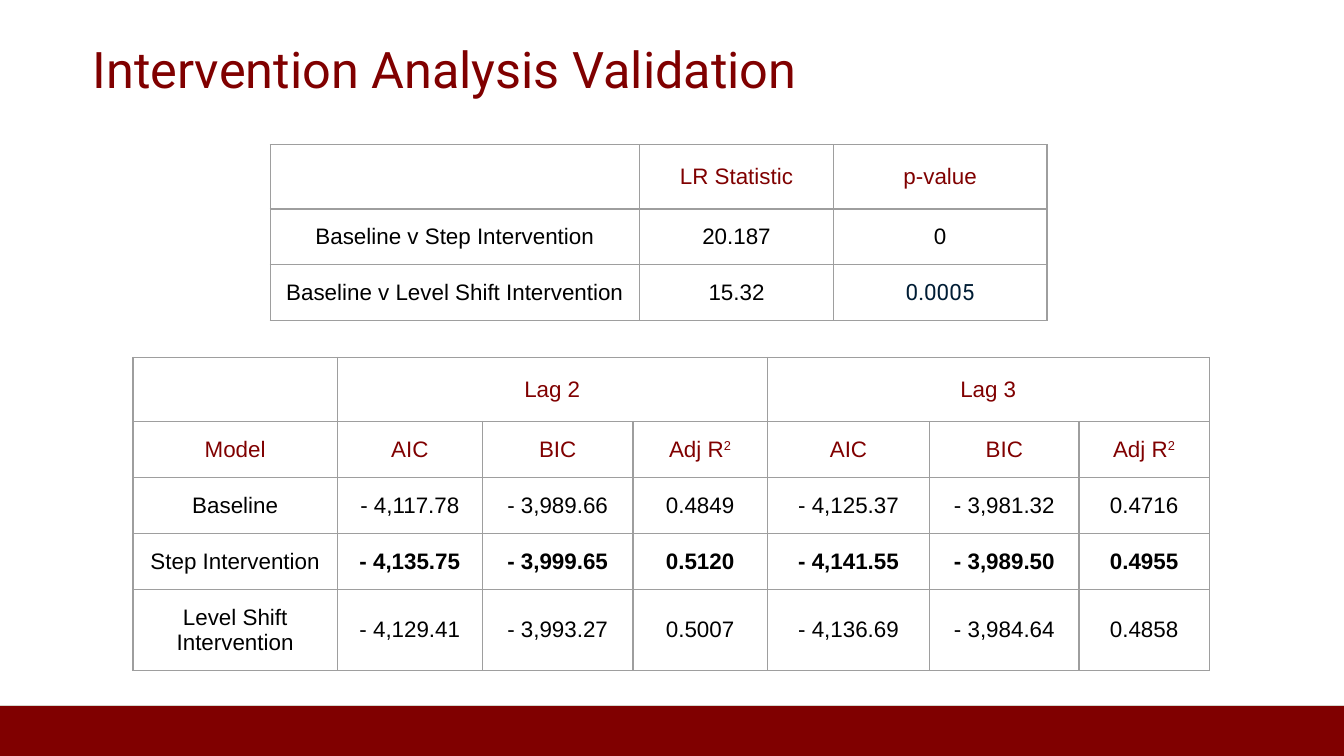
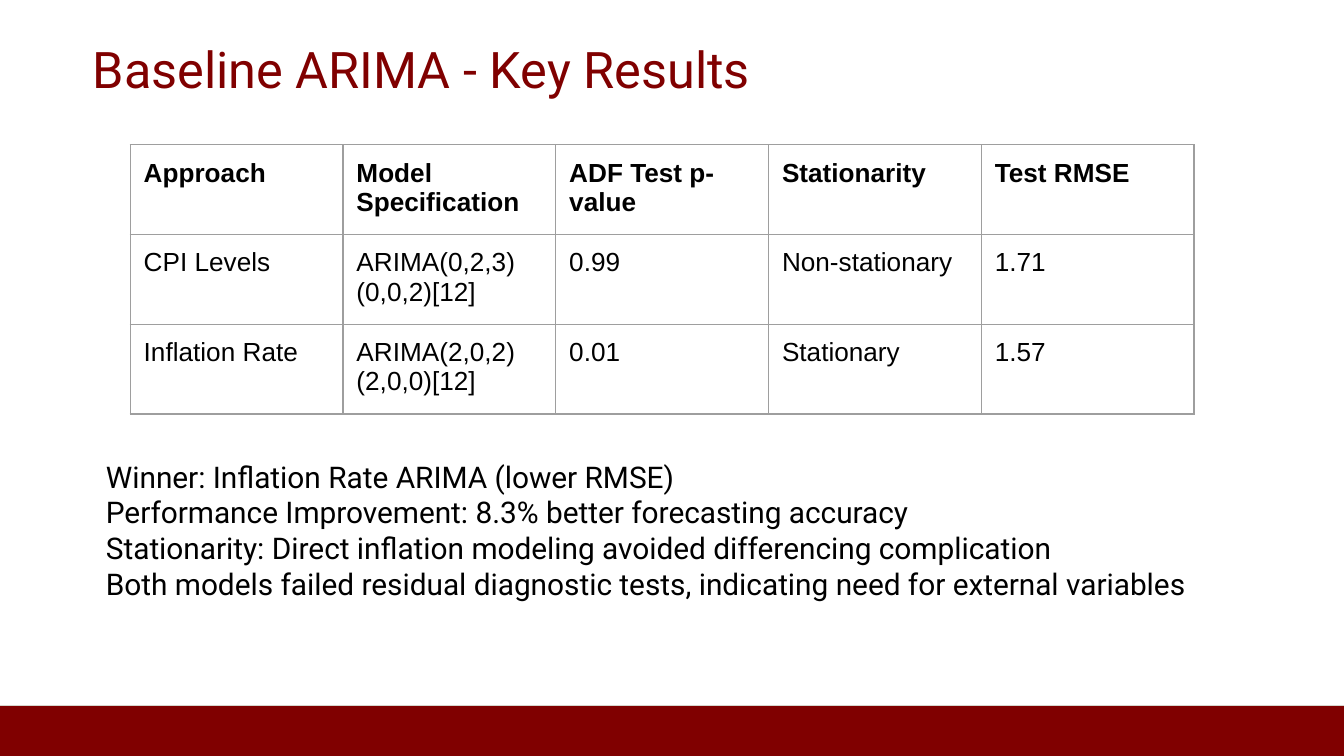
from lxml import etree
from pptx import Presentation
from pptx.dml.color import RGBColor
from pptx.enum.shapes import MSO_CONNECTOR, MSO_SHAPE
from pptx.enum.text import MSO_ANCHOR, PP_ALIGN
from pptx.oxml.ns import qn
from pptx.util import Pt

LINE, RECT = MSO_CONNECTOR.STRAIGHT, MSO_SHAPE.RECTANGLE
TOP, MIDDLE = MSO_ANCHOR.TOP, MSO_ANCHOR.MIDDLE
LEFT, CENTER = PP_ALIGN.LEFT, PP_ALIGN.CENTER

MAROON = RGBColor(0x80, 0x00, 0x00)
BLACK = RGBColor(0x00, 0x00, 0x00)
NAVY = RGBColor(0x00, 0x1D, 0x35)
RULE = RGBColor(0xD6, 0xD6, 0xCE)
GRID = "9E9E9E"

WIDTH, HEIGHT, BAND = 720, 405, 378
EDGE = 49.7
PAD = 7.2
SIDES = ("left", "right", "top", "bottom")


def write(para, text, **look):
    """Add a run; a trailing ² becomes a raised 2."""
    base, sup, _ = text.partition("²")
    for part in (base, "2" if sup else ""):
        if part:
            run = para.add_run()
            run.text = part
            color = look.get("color", BLACK)
            run.font.color.rgb = color
            for key in ("name", "size", "bold"):
                if key in look:
                    setattr(run.font, key, look[key])
    if sup:
        run.font._element.set("baseline", "30000")


def add_grid(slide, left, top, cols, highs, rows, size, heads, color, bold, align, anchor):
    """Add a ruled table whose first rows (heads) take the head colour."""
    frame = slide.shapes.add_table(len(rows), len(cols), Pt(left), Pt(top),
                                   Pt(sum(cols)), Pt(sum(highs)))
    table = frame.table
    table.first_row = table.horz_banding = False
    for col, wide in zip(table.columns, cols):
        col.width = Pt(wide)
    for row, high in zip(table.rows, highs):
        row.height = Pt(high)
    for r, texts in enumerate(rows):
        for c, text in enumerate(texts):
            cell = table.cell(r, c)
            cell.fill.background()
            cell.vertical_anchor = anchor
            for side in SIDES:
                setattr(cell, "margin_" + side, Pt(PAD))
            para = cell.text_frame.paragraphs[0]
            para.alignment = align
            if text:
                look = {"name": "Arial", "size": Pt(size), "bold": bold(r, c),
                        "color": color if r < heads else BLACK}
                if text == "0.0005":
                    look.update(name="Roboto", color=NAVY)
                write(para, text, **look)
            else:
                etree.SubElement(para._p, qn("a:endParaRPr"), sz=str(size * 100))
            # Cell borders come before the fill
            props = cell._tc.get_or_add_tcPr()
            for i, side in enumerate("LRTB"):
                line = etree.Element(qn("a:ln" + side), w=str(Pt(0.75)))
                fill = etree.SubElement(line, qn("a:solidFill"))
                etree.SubElement(fill, qn("a:srgbClr"), val=GRID)
                props.insert(i, line)
    return table


deck = Presentation()
deck.slide_width, deck.slide_height = Pt(WIDTH), Pt(HEIGHT)
blank = deck.slide_layouts[6]

# Shared title, footer band and rule
slides = []
for title in ("Intervention Analysis Validation", "Baseline ARIMA - Key Results"):
    slide = deck.slides.add_slide(blank)
    slides.append(slide)
    band = slide.shapes.add_shape(RECT, 0, Pt(BAND), Pt(WIDTH), Pt(HEIGHT - BAND))
    band.shadow.inherit = False
    band.fill.solid()
    band.fill.fore_color.rgb = MAROON
    band.line.fill.background()
    rule = slide.shapes.add_connector(LINE, 0, Pt(BAND), Pt(WIDTH), Pt(BAND))
    rule.line.color.rgb = RULE
    rule.line.width = Pt(0.75)
    etree.SubElement(rule._element.spPr, qn("a:effectLst"))
    box = slide.shapes.add_textbox(Pt(EDGE), 0, Pt(620.6), Pt(77.8)).text_frame
    box.word_wrap = True
    box.vertical_anchor = MIDDLE
    for side, pad in zip(SIDES, (0, 0, 3, 3)):
        setattr(box, "margin_" + side, Pt(pad))
    box.paragraphs[0].line_spacing = 0.9
    write(box.paragraphs[0], title, name="Roboto", size=Pt(27), color=MAROON)
check, result = slides

# Slide 1: model fit by lag
mid = {"size": 12, "color": MAROON, "align": CENTER, "anchor": MIDDLE}
fit = add_grid(
    check, 71.3, 191.5, [109.4, 77.8, 80.6, 72, 87.1, 79.9, 69.8],
    [34.3, 30, 30, 30, 41.3],
    [["", "Lag 2", "", "", "Lag 3", "", ""],
     ["Model"] + ["AIC", "BIC", "Adj R²"] * 2,
     ["Baseline", "- 4,117.78", "- 3,989.66", "0.4849",
      "- 4,125.37", "- 3,981.32", "0.4716"],
     ["Step Intervention", "- 4,135.75", "- 3,999.65", "0.5120",
      "- 4,141.55", "- 3,989.50", "0.4955"],
     ["Level Shift Intervention", "- 4,129.41", "- 3,993.27", "0.5007",
      "- 4,136.69", "- 3,984.64", "0.4858"]],
    heads=2, bold=lambda r, c: r == 3 and c > 0, **mid)
for c in (1, 4):
    fit.cell(0, c).merge(fit.cell(0, c + 2))

# Slide 1: likelihood ratio tests
add_grid(
    check, 144.7, 77.6, [198, 103.7, 114.5], [34.3, 30, 30],
    [["", "LR Statistic", "p-value"],
     ["Baseline v Step Intervention", "20.187", "0"],
     ["Baseline v Level Shift Intervention", "15.32", "0.0005"]],
    heads=1, bold=lambda r, c: False, **mid)

# Slide 2: results by approach
add_grid(
    result, 69.8, 77.6, [114] * 5, [45.8] * 3,
    [["Approach", "Model Specification", "ADF Test p-value", "Stationarity", "Test RMSE"],
     ["CPI Levels", "ARIMA(0,2,3)(0,0,2)[12]", "0.99", "Non-stationary", "1.71"],
     ["Inflation Rate", "ARIMA(2,0,2)(2,0,0)[12]", "0.01", "Stationary", "1.57"]],
    size=14, heads=1, color=BLACK, bold=lambda r, c: r == 0, align=LEFT, anchor=TOP)

# Slide 2: findings
notes = result.shapes.add_textbox(Pt(EDGE), Pt(238.3), Pt(684), Pt(136.8)).text_frame
notes.word_wrap = True
for side in SIDES:
    setattr(notes, "margin_" + side, Pt(PAD))
for i, text in enumerate((
        "Winner: Inflation Rate ARIMA (lower RMSE)",
        "Performance Improvement: 8.3% better forecasting accuracy",
        "Stationarity: Direct inflation modeling avoided differencing complication",
        "Both models failed residual diagnostic tests, indicating need for external variables")):
    para = notes.add_paragraph() if i else notes.paragraphs[0]
    write(para, text, name="Roboto", size=Pt(16))

deck.save("out.pptx")
